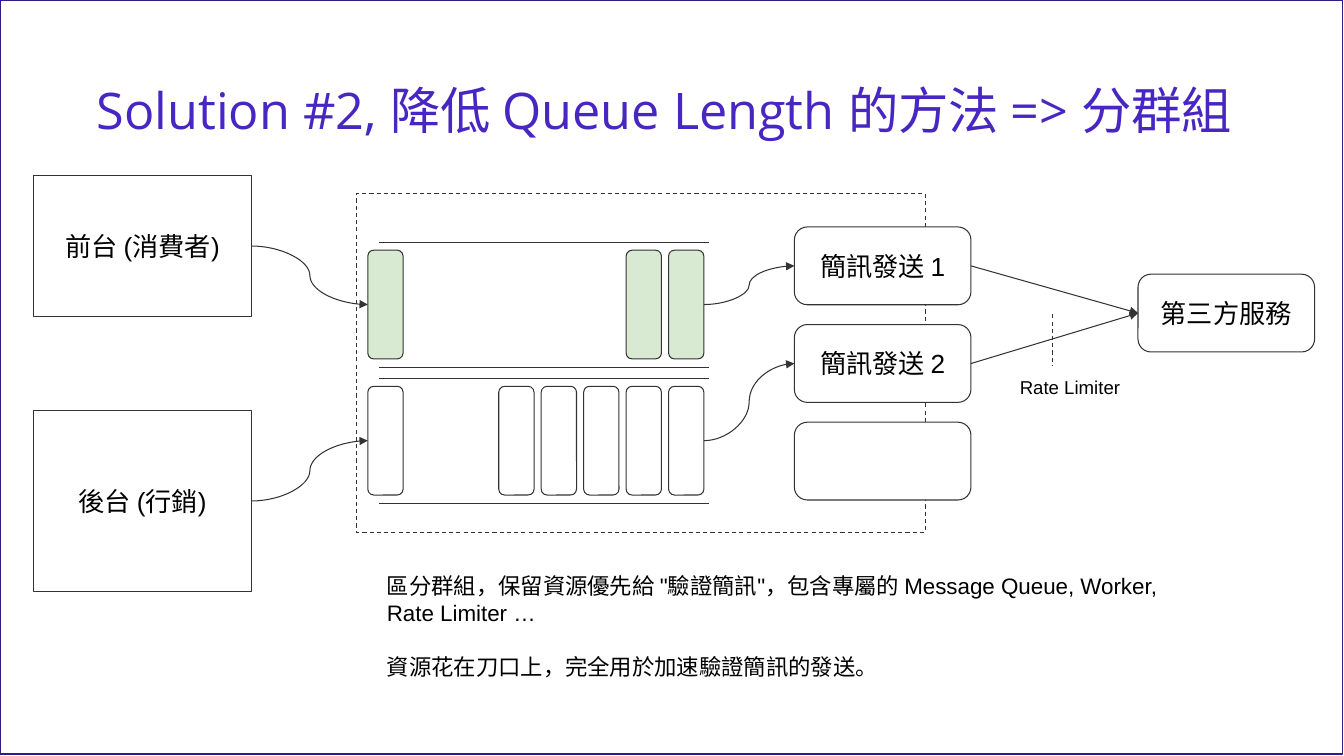
"""Build the slide on shortening a message queue by splitting it into groups."""
from dataclasses import dataclass

from lxml.etree import SubElement
from pptx import Presentation
from pptx.dml.color import RGBColor as Rgb
from pptx.enum.dml import MSO_LINE as Dash
from pptx.enum.shapes import MSO_CONNECTOR as Wire, MSO_SHAPE as Form
from pptx.enum.text import MSO_ANCHOR as Anchor, MSO_AUTO_SIZE as Fit, PP_ALIGN as Align
from pptx.oxml.ns import qn
from pptx.util import Cm, Pt

TITLE = "Solution #2, 降低 Queue Length 的方法 => 分群組"
NOTES = [
    '區分群組，保留資源優先給 "驗證簡訊"，包含專屬的 Message Queue, Worker, Rate Limiter …',
    "資源花在刀口上，完全用於加速驗證簡訊的發送。",
]
LIMIT = "Rate Limiter"
SOURCES = [("前台 (消費者)", 4.42, 3.56), ("後台 (行銷)", 10.34, 4.57)]
WORKERS = ["簡訊發送 1", "簡訊發送 2", ""]
SERVICE = "第三方服務"
LANES = [(2, "D9EAD3"), (5, "FFFFFF")]

LANE_TOP, LANE_STEP, LANE_HIGH = 6.1, 3.43, 3.15
RAIL = (9.55, 17.88)
SLOT_IN, SLOT_OUT, SLOT_STEP = 9.27, 16.85, 1.07
SLOT_WIDE, SLOT_HIGH = 0.89, 2.74
NODE_WIDE, NODE_HIGH = 4.45, 1.96
NODE_LEFT, NODE_TOP, NODE_STEP = 20.02, 5.72, 2.46


@dataclass(frozen=True)
class Theme:
    """Colours, fonts and type sizes."""
    title: str = "4826C1"
    edge: str = "321B86"
    line: str = "333333"
    fill: str = "FFFFFF"
    text: str = "000000"
    head: str = "Open Sans"
    body: str = "Arial"
    big: float = 36
    node: float = 18.7
    note: float = 16
    small: float = 13.3
    thin: float = 0.75


THEME = Theme()


def rgb(code):
    """Turn a hex code into a colour."""
    return Rgb.from_string(code)


def write(frame, lines, size, align=Align.LEFT, color=THEME.text, face=THEME.body, inset=0.33):
    """Fill a text frame with evenly styled paragraphs."""
    frame.word_wrap = True
    frame.auto_size = Fit.NONE
    frame.margin_left = frame.margin_right = Cm(inset)
    frame.margin_top = frame.margin_bottom = Cm(inset)
    frame.text = "\n".join(lines)
    for para in frame.paragraphs:
        para.alignment = align
        para.font.size = Pt(size)
        para.font.name = face
        para.font.color.rgb = rgb(color)


def block(form, box, text="", fill=THEME.fill, color=THEME.line, width=THEME.thin):
    """Add an outlined shape, with centred text if given."""
    shape = shapes.add_shape(form, *map(Cm, box))
    shape.shadow.inherit = False
    if fill:
        shape.fill.solid()
        shape.fill.fore_color.rgb = rgb(fill)
    else:
        shape.fill.background()
    shape.line.color.rgb = rgb(color)
    shape.line.width = Pt(width)
    if text:
        write(shape.text_frame, [text], THEME.node, Align.CENTER)
        shape.text_frame.vertical_anchor = Anchor.MIDDLE
    return shape


def stroke(ends, kind=Wire.STRAIGHT):
    """Add a thin line between two points."""
    wire = shapes.add_connector(kind, *map(Cm, ends))
    wire.line.color.rgb = rgb(THEME.line)
    wire.line.width = Pt(THEME.thin)
    SubElement(wire._element.spPr, qn("a:effectLst"))
    return wire


def link(start, end, kind=Wire.CURVE):
    """Join the right side of one shape to the left side of another."""
    wire = stroke((0, 0, 1, 1), kind)
    wire.begin_connect(start, 3)
    wire.end_connect(end, 1)
    SubElement(wire.line._get_or_add_ln(), qn("a:tailEnd"), type="triangle")


def label(box, lines, size):
    """Add a plain text box."""
    area = shapes.add_textbox(*map(Cm, box))
    write(area.text_frame, lines, size)
    return area.text_frame


deck = Presentation()
deck.slide_width, deck.slide_height = Cm(33.87), Cm(19.05)
slide = deck.slides.add_slide(deck.slide_layouts[5])
shapes = slide.shapes

title = shapes.title
title.left, title.top, title.width, title.height = map(Cm, (2.34, 1.02, 29.21, 3.68))
write(title.text_frame, [TITLE], THEME.big, color=THEME.title, face=THEME.head, inset=0.1)
title.text_frame.vertical_anchor = Anchor.MIDDLE
title.text_frame.paragraphs[0].line_spacing = 0.9

block(Form.RECTANGLE, (0, 0, 33.83, 19), fill=None, color=THEME.edge, width=1)
group = block(Form.RECTANGLE, (8.99, 4.88, 14.33, 8.53))
group.line.dash_style = Dash.DASH

sources = [block(Form.RECTANGLE, (0.84, top, 5.51, high), text) for text, top, high in SOURCES]
workers = [
    block(Form.ROUNDED_RECTANGLE, (NODE_LEFT, NODE_TOP + i * NODE_STEP, NODE_WIDE, NODE_HIGH), text)
    for i, text in enumerate(WORKERS)
]
service = block(Form.ROUNDED_RECTANGLE, (28.68, 6.91, NODE_WIDE, NODE_HIGH), SERVICE)

for i, (count, fill) in enumerate(LANES):
    top = LANE_TOP + i * LANE_STEP
    for y in (top, top + LANE_HIGH):
        stroke((RAIL[0], y, RAIL[1], y))
    lefts = [SLOT_IN] + [SLOT_OUT - n * SLOT_STEP for n in reversed(range(count))]
    pad = (LANE_HIGH - SLOT_HIGH) / 2
    slots = [
        block(Form.ROUNDED_RECTANGLE, (x, top + pad, SLOT_WIDE, SLOT_HIGH), fill=fill)
        for x in lefts
    ]
    link(sources[i], slots[0])
    link(slots[-1], workers[i])
    link(workers[i], service, Wire.STRAIGHT)

stroke((26.52, 7.92, 26.52, 9.22)).line.dash_style = Dash.DASH
label((25.37, 9.14, 3.76, 1.68), [LIMIT], THEME.small)
notes = label((9.42, 14.1, 21.41, 1.68), NOTES, THEME.note)
notes.paragraphs[1].space_before = Pt(19)

deck.save("out.pptx")
